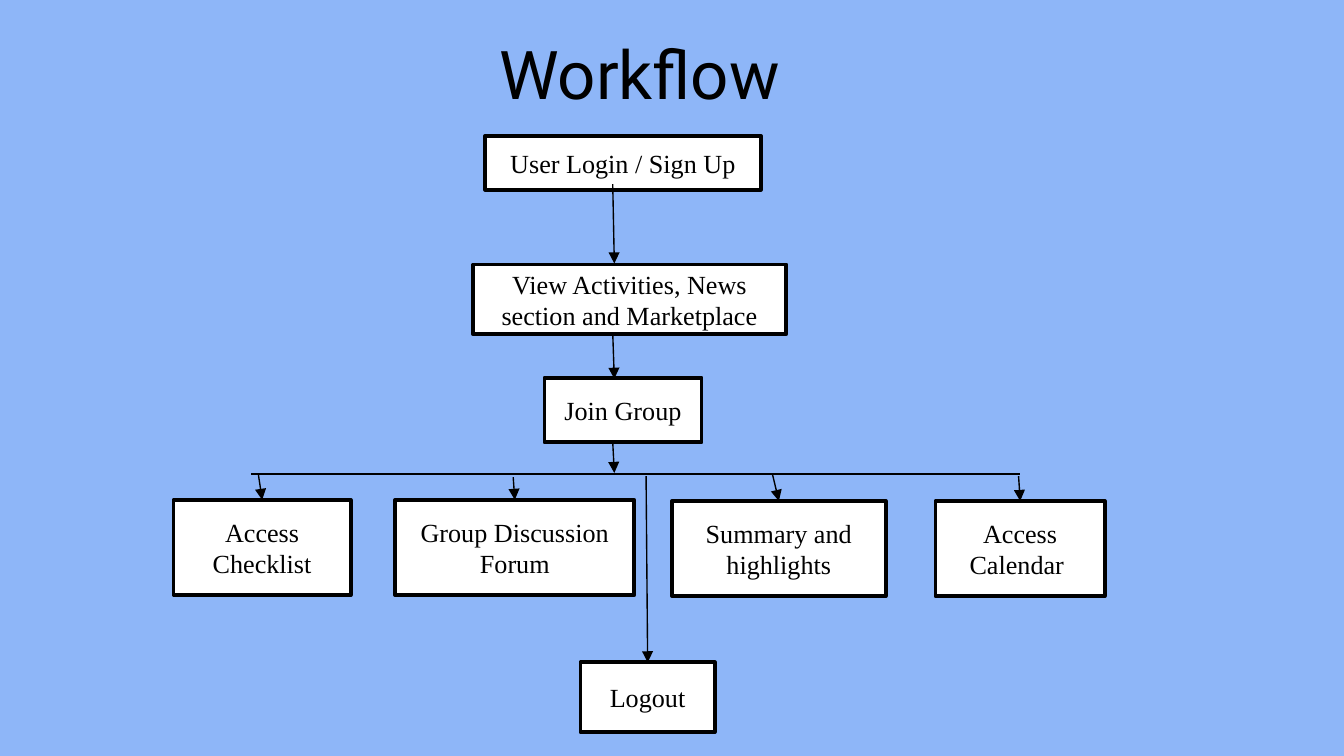
from lxml import etree
from pptx import Presentation
from pptx.dml.color import RGBColor
from pptx.enum.shapes import MSO_CONNECTOR, MSO_SHAPE
from pptx.enum.text import MSO_ANCHOR, MSO_AUTO_SIZE, PP_ALIGN
from pptx.oxml.ns import qn
from pptx.util import Cm, Pt

RECTANGLE = MSO_SHAPE.RECTANGLE
STRAIGHT = MSO_CONNECTOR.STRAIGHT
MIDDLE = MSO_ANCHOR.MIDDLE
NO_AUTOFIT = MSO_AUTO_SIZE.NONE
CENTER = PP_ALIGN.CENTER
TOP_SIDE = 0
TITLE_ONLY = 5

BLACK = "000000"
WHITE = "FFFFFF"
SKY_BLUE = "8EB6F8"

# Text, left, top, width, height in centimetres
MAIN_STEPS = [
    ("User Login / Sign Up", 9.17, 2.57, 5.21, 1.02),
    ("View Activities, News section and Marketplace", 8.94, 5, 5.92, 1.32),
    ("Join Group", 10.29, 7.14, 2.97, 1.22),
]
# The same, then the point on the branch line where the arrow starts
BRANCHES = [
    ("Access Checklist", 3.28, 9.45, 3.35, 1.8, 4.88, 8.95),
    ("Group Discussion Forum", 7.47, 9.45, 4.52, 1.8, 9.7, 9.02),
    ("Summary and highlights", 12.7, 9.47, 4.04, 1.8, 14.6, 8.97),
    ("Access Calendar ", 17.68, 9.47, 3.2, 1.8, 19.25, 9),
    ("Logout", 10.97, 12.52, 2.54, 1.32, 12.21, 9),
]
# Start and end heights of the arrows down the main column
MAIN_ARROWS = [(3.48, 4.98), (6.3, 7.16), (8.36, 8.94)]


def color(hex_string):
    return RGBColor.from_string(hex_string)


def write_centered(frame, text, font_name, size):
    frame.word_wrap = True
    frame.vertical_anchor = MIDDLE
    para = frame.paragraphs[0]
    para.text = text
    para.alignment = CENTER
    para.font.name = font_name
    para.font.size = Pt(size)
    para.font.color.rgb = color(BLACK)


def set_title(page, text):
    title = page.shapes.title
    title.left, title.top = Cm(0.41), Cm(0.2)
    title.width, title.height = Cm(23.67), Cm(2.34)
    frame = title.text_frame
    frame.auto_size = NO_AUTOFIT
    frame.margin_left = frame.margin_right = Cm(0.25)
    frame.margin_top = frame.margin_bottom = Cm(0.25)
    write_centered(frame, text, "Roboto", 36)


def add_step(page, text, left, top, width, height):
    step = page.shapes.add_shape(
        RECTANGLE, Cm(left), Cm(top), Cm(width), Cm(height))
    step.shadow.inherit = False
    step.fill.solid()
    step.fill.fore_color.rgb = color(WHITE)
    step.line.color.rgb = color(BLACK)
    step.line.width = Pt(2)
    write_centered(step.text_frame, text, "Times New Roman", 14)
    return step


def add_line(page, x1, y1, x2, y2):
    line = page.shapes.add_connector(STRAIGHT, Cm(x1), Cm(y1), Cm(x2), Cm(y2))
    line.line.color.rgb = color(BLACK)
    line.line.width = Pt(0.75)
    etree.SubElement(line._element.spPr, qn("a:effectLst"))
    return line


def add_arrow(page, x1, y1, x2, y2):
    arrow = add_line(page, x1, y1, x2, y2)
    outline = arrow.line._get_or_add_ln()
    etree.SubElement(outline, qn("a:tailEnd"), type="triangle")
    return arrow


def add_branch(page, text, left, top, width, height, start_x, start_y):
    """Add a step and the arrow that leads to it from the branch line."""
    step = add_step(page, text, left, top, width, height)
    arrow = add_arrow(page, start_x, start_y, left + width / 2, top)
    arrow.end_connect(step, TOP_SIDE)


def main():
    deck = Presentation()
    deck.slide_width, deck.slide_height = Cm(25.4), Cm(14.29)
    page = deck.slides.add_slide(deck.slide_layouts[TITLE_ONLY])
    page.background.fill.solid()
    page.background.fill.fore_color.rgb = color(SKY_BLUE)

    set_title(page, "Workflow ")
    for step in MAIN_STEPS:
        add_step(page, *step)
    for start, end in MAIN_ARROWS:
        add_arrow(page, 11.58, start, 11.61, end)
    add_line(page, 4.75, 8.96, 19.28, 8.96)
    for branch in BRANCHES:
        add_branch(page, *branch)

    deck.save("out.pptx")


if __name__ == "__main__":
    main()
